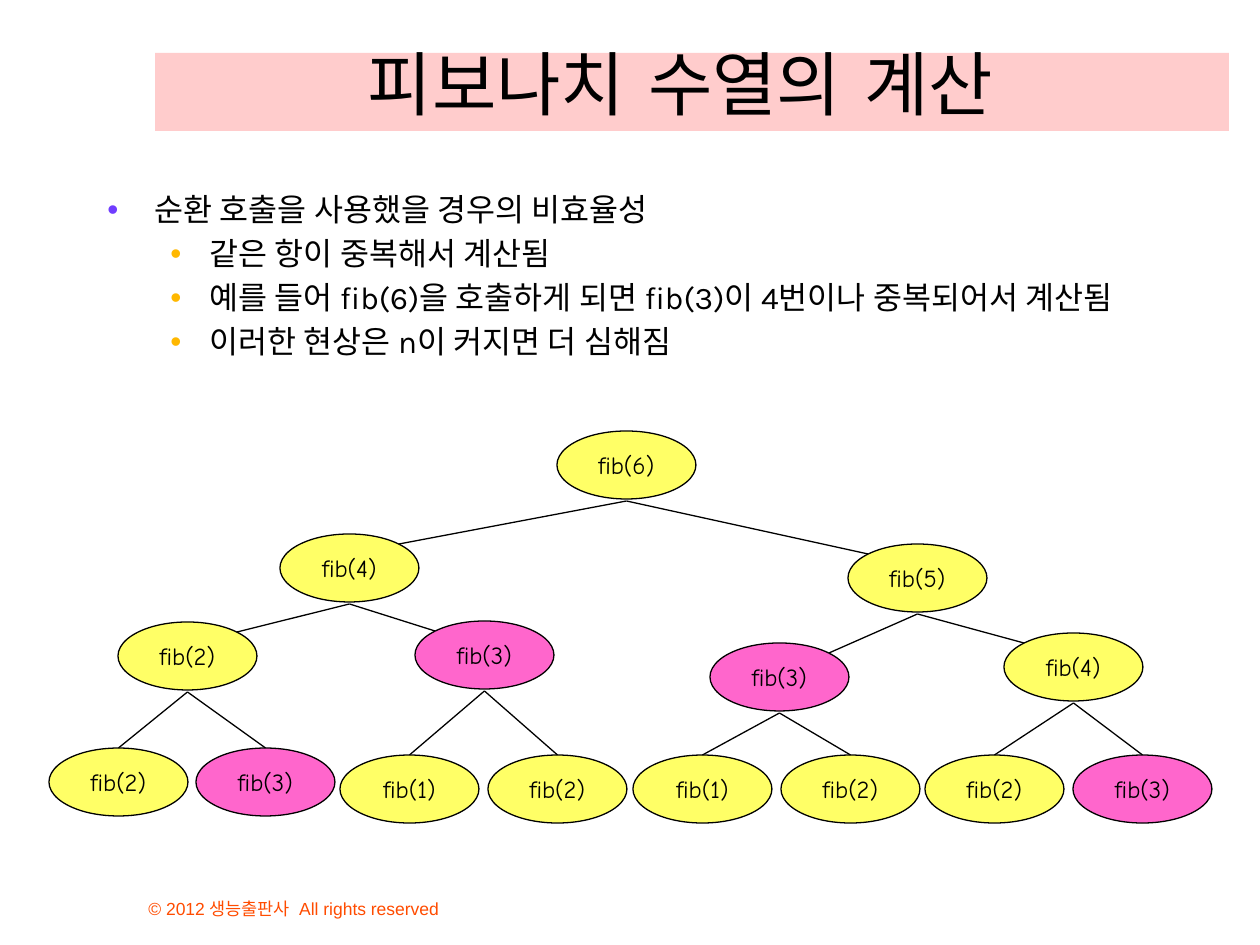
import pptx
import pptx.util
import pptx.dml.color
import pptx.enum.shapes
import pptx.enum.text
import pptx.oxml.ns
from lxml import etree

PX = 914400 / 126  # one px in EMU
qn = pptx.oxml.ns.qn
ANCHOR = pptx.enum.text.MSO_ANCHOR
ALIGN = pptx.enum.text.PP_ALIGN


def rgb(value):
    return pptx.dml.color.RGBColor.from_string(value)


def add_run(p, text, size, font, color="000000"):
    r = p.add_run()
    r.text = text
    r.font.size = pptx.util.Pt(size)
    r.font.name = font
    r.font.color.rgb = rgb(color)
    ea = etree.SubElement(r.font._element, qn("a:ea"))
    ea.set("typeface", font)


prs = pptx.Presentation()
prs.slide_width = pptx.util.Inches(10)
prs.slide_height = pptx.util.Inches(7.5)
s = prs.slides.add_slide(prs.slide_layouts[5])

# Title band
title = s.shapes.title
title.left, title.top, title.width, title.height = [round(v * PX) for v in (155, 53, 1074, 78)]
title.fill.solid()
title.fill.fore_color.rgb = rgb("FFCCCC")
tf = title.text_frame
tf.auto_size = pptx.enum.text.MSO_AUTO_SIZE.NONE
tf.vertical_anchor = ANCHOR.BOTTOM
p = tf.paragraphs[0]
p.alignment = ALIGN.CENTER
add_run(p, "피보나치 수열의 계산 ", 40, "Comic Neue")

# Bulleted text: level, text
BULLETS = [
    (0, "순환 호출을 사용했을 경우의 비효율성"),
    (1, "같은 항이 중복해서 계산됨"),
    (1, "예를 들어 fib(6)을 호출하게 되면 fib(3)이 4번이나 중복되어서 계산됨"),
    (1, "이러한 현상은 n이 커지면 더 심해짐"),
]
LEVELS = [(47, -47, "703DFF"), (102, -39, "FFB800")]  # margin, indent, bullet colour
body = s.shapes.add_textbox(*[round(v * PX) for v in (95, 184, 1074, 261)])
tf = body.text_frame
tf.word_wrap = True
for i, (level, text) in enumerate(BULLETS):
    p = tf.paragraphs[0] if i == 0 else tf.add_paragraph()
    p.level = level
    if i > 0:
        p.space_before = pptx.util.Pt(3.6)
    margin, indent, color = LEVELS[level]
    pPr = p._p.get_or_add_pPr()
    pPr.set("marL", str(round(margin * PX)))
    pPr.set("indent", str(round(indent * PX)))
    buClr = etree.SubElement(pPr, qn("a:buClr"))
    etree.SubElement(buClr, qn("a:srgbClr")).set("val", color)
    etree.SubElement(pPr, qn("a:buFont")).set("typeface", "Arial")
    etree.SubElement(pPr, qn("a:buChar")).set("char", "•")
    add_run(p, text, 18, "Karla")

# Call tree: n, left, top, parent index; children come in left, right order
NODES = [
    (6, 557, 431, None),
    (4, 280, 534, 0), (5, 848, 544, 0),
    (2, 118, 622, 1), (3, 415, 621, 1), (3, 710, 643, 2), (4, 1004, 633, 2),
    (2, 49, 748, 3), (3, 196, 748, 3), (1, 340, 755, 4), (2, 488, 755, 4),
    (1, 633, 755, 5), (2, 781, 755, 5), (2, 925, 755, 6), (3, 1073, 755, 6),
]
NODE_W, NODE_H = 139, 68
FIRST_LEAF = 7

for i, (n, left, top, parent) in enumerate(NODES):
    # Call node
    sp = s.shapes.add_shape(pptx.enum.shapes.MSO_SHAPE.OVAL,
                            *[round(v * PX) for v in (left, top, NODE_W, NODE_H)])
    sp.shadow.inherit = False
    sp.fill.solid()
    sp.fill.fore_color.rgb = rgb("FF66CC" if n == 3 else "FFFF66")
    sp.line.color.rgb = rgb("000000")
    sp.line.width = pptx.util.Pt(0.75)
    tf = sp.text_frame
    tf.word_wrap = False
    tf.vertical_anchor = ANCHOR.MIDDLE
    p = tf.paragraphs[0]
    p.alignment = ALIGN.CENTER
    add_run(p, f"fib({n})", 14, "Comic Neue")

    # Branch from below the parent to the node's top or upper shoulder
    if parent is None:
        continue
    start_x = NODES[parent][1] + NODE_W / 2
    start_y = NODES[parent][2] + NODE_H + 2
    if i >= FIRST_LEAF:
        end_x, end_y = left + NODE_W / 2, top
    else:
        end_x, end_y = left + (119 if i % 2 else 20), top + 10
    line = s.shapes.add_connector(pptx.enum.shapes.MSO_CONNECTOR.STRAIGHT,
                                  *[round(v * PX) for v in (start_x, start_y, end_x, end_y)])
    line.line.color.rgb = rgb("000000")
    line.line.width = pptx.util.Pt(0.75)
    etree.SubElement(line._element.spPr, qn("a:effectLst"))

# Copyright line
footer = s.shapes.add_textbox(*[round(v * PX) for v in (136, 872, 483, 53)])
tf = footer.text_frame
tf.word_wrap = True
tf.vertical_anchor = ANCHOR.BOTTOM
add_run(tf.paragraphs[0], "© 2012 생능출판사  All rights reserved", 10, "Arial", "FF4C00")

prs.save("out.pptx")
